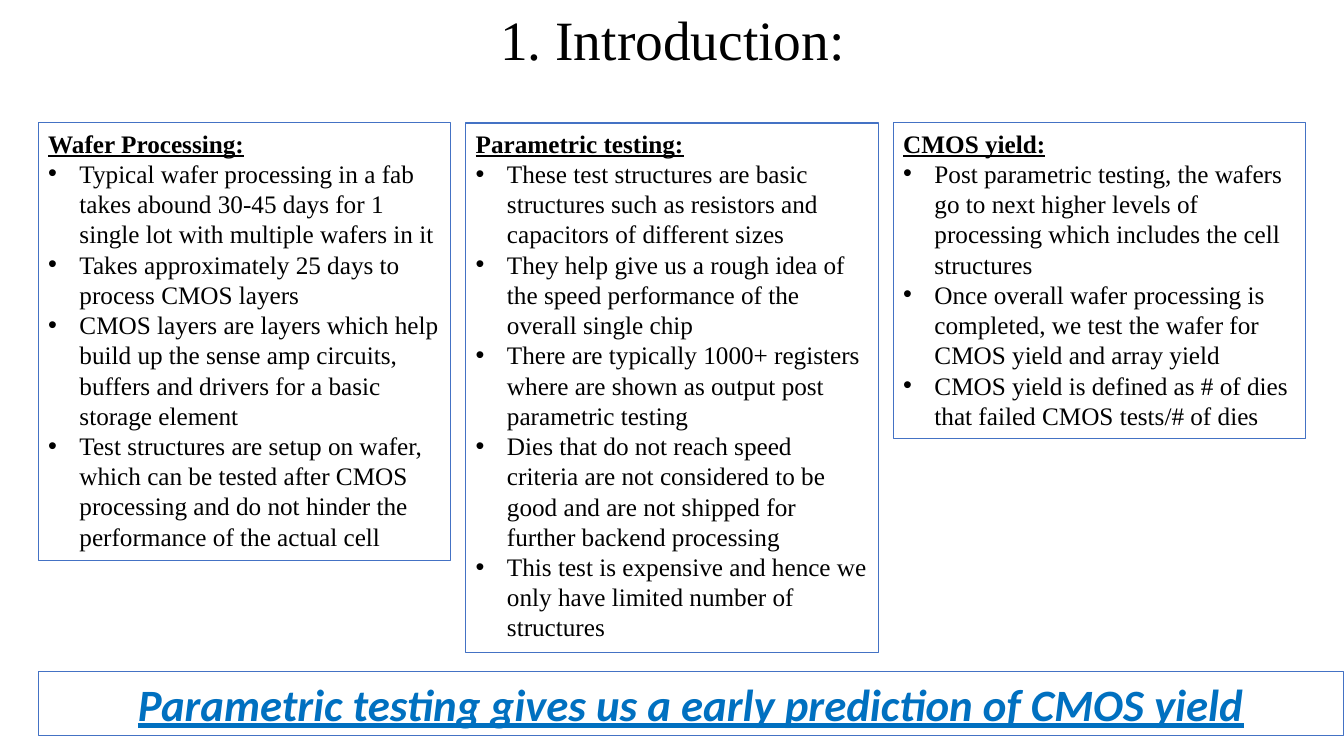
from copy import deepcopy

from lxml.etree import SubElement
from pptx import Presentation
from pptx.dml.color import RGBColor
from pptx.enum.shapes import MSO_SHAPE as Shape
from pptx.enum.text import MSO_ANCHOR as Anchor, MSO_AUTO_SIZE as AutoSize, PP_ALIGN as Align
from pptx.oxml.ns import qn
from pptx.util import Inches, Pt

BLACK = RGBColor(0x00, 0x00, 0x00)
BORDER_BLUE = RGBColor(0x44, 0x72, 0xC4)
TEXT_BLUE = RGBColor(0x00, 0x70, 0xC0)

SERIF = "Times New Roman"
TITLE = {"name": SERIF, "size": Pt(39.6)}
BODY = {"name": SERIF, "size": Pt(18), "bold": False, "underline": False}
HEADING = {**BODY, "bold": True, "underline": True}
TAKEAWAY = {"name": "Calibri", "size": Pt(32), "bold": True, "italic": True, "underline": True}

LEFT, COLUMN_TOP = 0.38, 1.22
COLUMN_WIDTH, COLUMN_STEP = 4.09, 4.24
INDENT = Inches(0.31)

COLUMNS = [
    ("Wafer Processing:", 4.34, [
        "Typical wafer processing in a fab takes abound 30-45 days for 1 single lot "
        "with multiple wafers in it",
        "Takes approximately 25 days to process CMOS layers",
        "CMOS layers are layers which help build up the sense amp circuits, buffers "
        "and drivers for a basic storage element",
        "Test structures are setup on wafer, which can be tested after CMOS processing "
        "and do not hinder the performance of the actual cell",
    ]),
    ("Parametric testing:", 5.25, [
        "These test structures are basic structures such as resistors and capacitors "
        "of different sizes",
        "They help give us a rough idea of the speed performance of the overall single chip",
        "There are typically 1000+ registers where are shown as output post parametric testing",
        "Dies that do not reach speed criteria are not considered to be good and are "
        "not shipped for further backend processing",
        "This test is expensive and hence we only have limited number of structures",
    ]),
    ("CMOS yield:", 3.13, [
        "Post parametric testing, the wafers go to next higher levels of processing "
        "which includes the cell structures",
        "Once overall wafer processing is completed, we test the wafer for CMOS yield "
        "and array yield",
        "CMOS yield is defined as # of dies that failed CMOS tests/# of dies",
    ]),
]


def add_span(para, text, style, color):
    span = para.add_run()
    span.text = text
    for name, value in style.items():
        setattr(span.font, name, value)
    span.font.color.rgb = color
    return span


def add_box(page, left, top, width, height):
    box = page.shapes.add_shape(
        Shape.RECTANGLE, Inches(left), Inches(top), Inches(width), Inches(height))
    box.shadow.inherit = False
    box.fill.background()
    box.line.color.rgb = BORDER_BLUE
    box.line.width = Pt(0.75)
    frame = box.text_frame
    frame.word_wrap = True
    frame.auto_size = AutoSize.SHAPE_TO_FIT_TEXT
    frame.vertical_anchor = Anchor.TOP
    frame.paragraphs[0].alignment = Align.LEFT
    return frame


deck = Presentation()
deck.slide_width, deck.slide_height = Inches(13.33), Inches(7.5)
page = deck.slides.add_slide(deck.slide_layouts[5])

# Title, ending in a line break
title = page.shapes.title
title.left, title.top = Inches(0.92), Inches(0.4)
title.width, title.height = Inches(11.5), Inches(0.71)
title.text_frame.auto_size = AutoSize.NONE
title.text_frame.vertical_anchor = Anchor.MIDDLE
para = title.text_frame.paragraphs[0]
para.alignment = Align.CENTER
para.line_spacing = 0.9
span = add_span(para, "1. Introduction:", TITLE, BLACK)
para.add_line_break()
span_format = span.font._element
para._p[-1].append(deepcopy(span_format))
end_format = SubElement(para._p, qn("a:endParaRPr"), dict(span_format.attrib))
end_format.extend(deepcopy(list(span_format)))

# Three bulleted columns
for index, (heading, height, points) in enumerate(COLUMNS):
    frame = add_box(page, LEFT + index * COLUMN_STEP, COLUMN_TOP, COLUMN_WIDTH, height)
    add_span(frame.paragraphs[0], heading, HEADING, BLACK)
    for point in points:
        para = frame.add_paragraph()
        para.alignment = Align.LEFT
        add_span(para, point, BODY, BLACK)
        layout = para._p.get_or_add_pPr()
        layout.set("marL", str(INDENT))
        layout.set("indent", str(-INDENT))
        SubElement(layout, qn("a:buFont"), typeface="Arial")
        SubElement(layout, qn("a:buChar"), char="•")

# Takeaway banner
para = add_box(page, LEFT, 6.66, 12.95, 0.64).paragraphs[0]
para.alignment = Align.CENTER
add_span(para, "Parametric testing gives us a early prediction of CMOS yield", TAKEAWAY, TEXT_BLUE)

deck.save("out.pptx")
